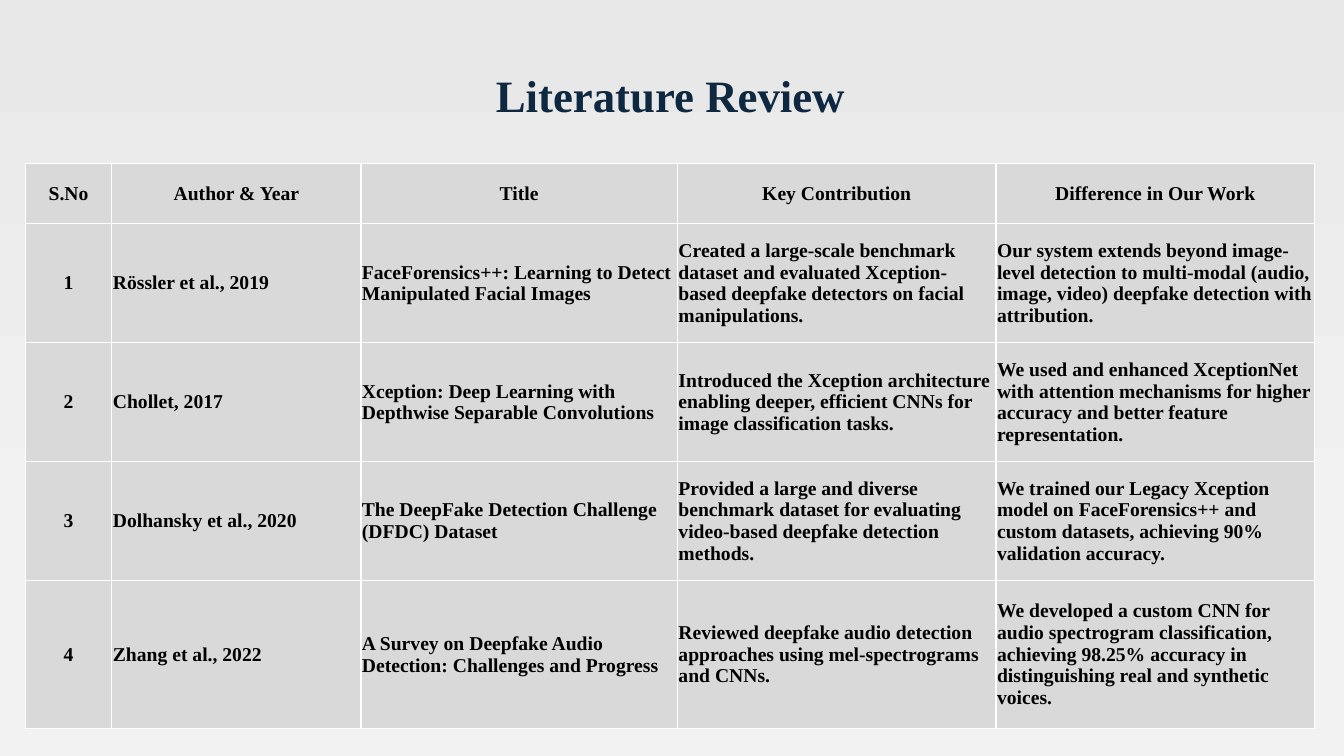
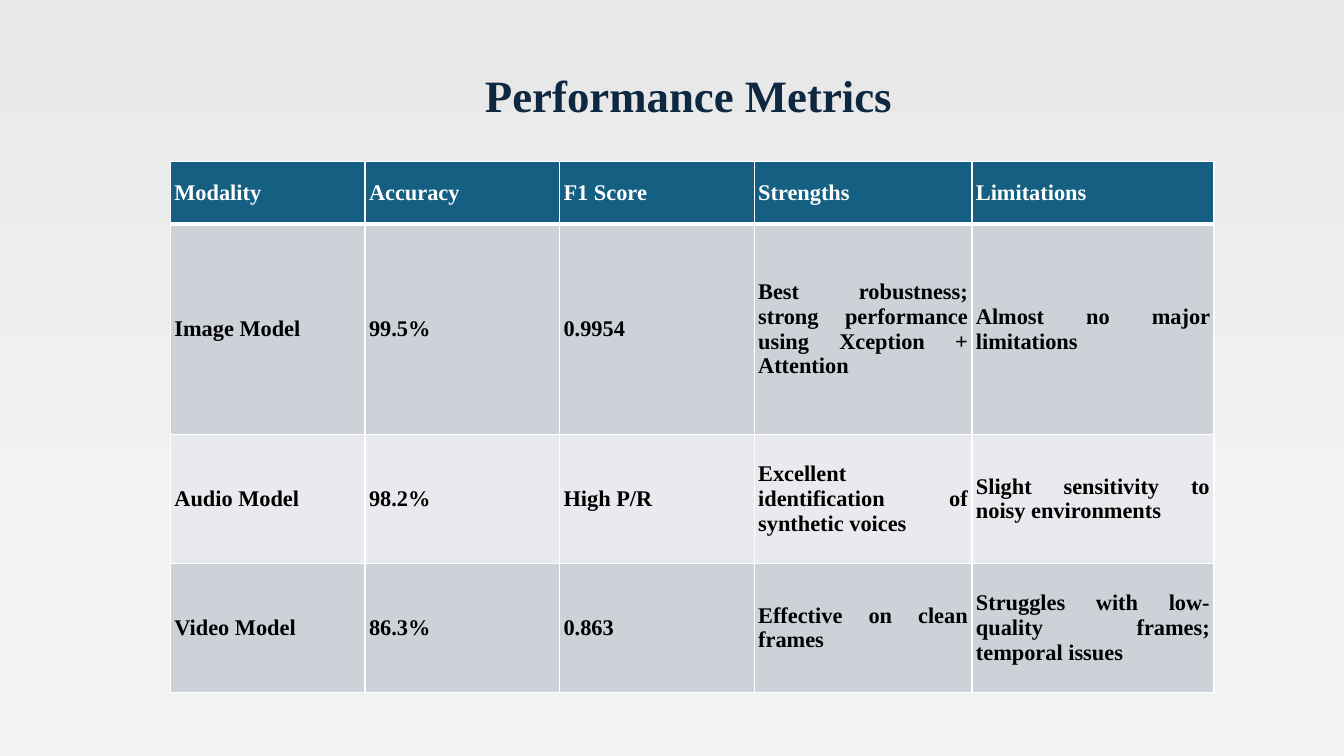
"""Build two table slides: a literature review and performance metrics."""
from lxml import etree
from pptx import Presentation
from pptx.dml.color import RGBColor
from pptx.enum.text import MSO_ANCHOR, MSO_AUTO_SIZE, PP_ALIGN
from pptx.oxml import parse_xml
from pptx.oxml.ns import nsdecls, qn
from pptx.util import Inches, Pt

CENTER, LEFT, JUSTIFY = PP_ALIGN.CENTER, PP_ALIGN.LEFT, PP_ALIGN.JUSTIFY
MIDDLE, NO_FIT = MSO_ANCHOR.MIDDLE, MSO_AUTO_SIZE.NONE
FONT = "Times New Roman"
TITLE_ONLY = 5
COLORS = {
    "page_top": "E8E8E8", "page_bottom": "F2F2F2", "title": "0E2841",
    "text": "000000", "white": "FFFFFF", "gray": "D9D9D9",
    "header": "156082", "band_dark": "CCD2D8", "band_light": "E8EAED",
}

SLIDES = [
    {
        "title": "Literature Review", "title_left": 0.57,
        "left": 0.25, "top": 1.62,
        "widths": [0.86, 2.47, 3.14, 3.16, 3.16],
        "heights": [0.6, 1.18, 1.18, 1.18, 1.47],
        "margins": (0.01, 0.01), "size": 14,
        "header_fill": "gray", "header_text": "text", "bands": ["gray"],
        "header_align": CENTER, "aligns": [CENTER] + [LEFT] * 4, "header_rule": 1,
        "rows": [
            ["S.No", "Author & Year", "Title", "Key Contribution", "Difference in Our Work"],
            ["1", "Rössler et al., 2019",
             "FaceForensics++: Learning to Detect Manipulated Facial Images",
             "Created a large-scale benchmark dataset and evaluated Xception-based "
             "deepfake detectors on facial manipulations.",
             "Our system extends beyond image-level detection to multi-modal "
             "(audio, image, video) deepfake detection with attribution."],
            ["2", "Chollet, 2017",
             "Xception: Deep Learning with Depthwise Separable Convolutions",
             "Introduced the Xception architecture enabling deeper, efficient CNNs "
             "for image classification tasks.",
             "We used and enhanced XceptionNet with attention mechanisms for higher "
             "accuracy and better feature representation."],
            ["3", "Dolhansky et al., 2020",
             "The DeepFake Detection Challenge (DFDC) Dataset",
             "Provided a large and diverse benchmark dataset for evaluating "
             "video-based deepfake detection methods.",
             "We trained our Legacy Xception model on FaceForensics++ and custom "
             "datasets, achieving 90% validation accuracy."],
            ["4", "Zhang et al., 2022",
             "A Survey on Deepfake Audio Detection: Challenges and Progress",
             "Reviewed deepfake audio detection approaches using mel-spectrograms and CNNs.",
             "We developed a custom CNN for audio spectrogram classification, achieving "
             "98.25% accuracy in distinguishing real and synthetic voices."],
        ],
    },
    {
        "title": "Performance Metrics", "title_left": 0.75,
        "left": 1.69, "top": 1.6,
        "widths": [1.93, 1.93, 1.93, 2.16, 2.4],
        "heights": [0.62, 2.09, 1.28, 1.28],
        "margins": (0.04, 0.02), "size": 16,
        "header_fill": "header", "header_text": "white",
        "bands": ["band_dark", "band_light"],
        "header_align": JUSTIFY, "aligns": [JUSTIFY] * 5, "header_rule": 3,
        "rows": [
            ["Modality", "Accuracy", "F1 Score", "Strengths", "Limitations"],
            ["Image Model", "99.5%", "0.9954",
             "Best robustness; strong performance using Xception + Attention",
             "Almost no major limitations"],
            ["Audio Model", "98.2%", "High P/R",
             "Excellent identification of synthetic voices",
             "Slight sensitivity to noisy environments"],
            ["Video Model", "86.3%", "0.863", "Effective on clean frames",
             "Struggles with low-quality frames; temporal issues"],
        ],
    },
]


def write(frame, text, size, color, align, spacing=None):
    para = frame.paragraphs[0]
    para.alignment = align
    para.line_spacing = spacing
    span = para.add_run()
    span.text = text
    span.font.name = FONT
    span.font.size = Pt(size)
    span.font.bold = True
    span.font.color.rgb = RGBColor.from_string(COLORS[color])
    return span


def add_border(cell, side, points):
    properties = cell._tc.get_or_add_tcPr()
    line = etree.SubElement(properties, qn(f"a:ln{side}"), w=str(Pt(points)))
    fill = etree.SubElement(line, qn("a:solidFill"))
    etree.SubElement(fill, qn("a:srgbClr"), val=COLORS["white"])


deck = Presentation()
deck.slide_width, deck.slide_height = Inches(13.33), Inches(7.5)

backdrop = deck.slide_master.background.fill
backdrop.gradient()
backdrop.gradient_angle = 270
for stop, position, color in zip(backdrop.gradient_stops, (0, 0.74), ("page_top", "page_bottom")):
    stop.position = position
    stop.color.rgb = RGBColor.from_string(COLORS[color])

for content in SLIDES:
    page = deck.slides.add_slide(deck.slide_layouts[TITLE_ONLY])
    title = page.shapes.title
    title.left, title.top = Inches(content["title_left"]), Inches(0.62)
    title.width, title.height = Inches(12.16), Inches(0.7)
    title.text_frame.auto_size = NO_FIT
    title.text_frame.vertical_anchor = MIDDLE
    span = write(title.text_frame, content["title"], 32, "title", CENTER, 0.9)
    shadow = parse_xml(
        f'<a:effectLst {nsdecls("a")}><a:outerShdw blurRad="38100" dist="38100" dir="2700000">'
        f'<a:srgbClr val="{COLORS["white"]}"/></a:outerShdw></a:effectLst>')
    span._r.get_or_add_rPr().find(qn("a:solidFill")).addnext(shadow)

    rows, widths, heights = content["rows"], content["widths"], content["heights"]
    table = page.shapes.add_table(
        len(rows), len(widths), Inches(content["left"]), Inches(content["top"]),
        Inches(sum(widths)), Inches(sum(heights))).table
    for column, width in zip(table.columns, widths):
        column.width = Inches(width)
    for row, height in zip(table.rows, heights):
        row.height = Inches(height)

    side_margin, end_margin = (Inches(margin) for margin in content["margins"])
    for row_index, texts in enumerate(rows):
        is_header = row_index == 0
        bands = content["bands"]
        fill = content["header_fill"] if is_header else bands[(row_index - 1) % len(bands)]
        color = content["header_text"] if is_header else "text"
        top_rule = content["header_rule"] if row_index == 1 else 1
        bottom_rule = content["header_rule"] if is_header else 1
        for column_index, text in enumerate(texts):
            cell = table.cell(row_index, column_index)
            cell.margin_left = cell.margin_right = side_margin
            cell.margin_top = cell.margin_bottom = end_margin
            cell.vertical_anchor = MIDDLE
            for side, points in zip("LRTB", (1, 1, top_rule, bottom_rule)):
                add_border(cell, side, points)
            cell.fill.solid()
            cell.fill.fore_color.rgb = RGBColor.from_string(COLORS[fill])
            align = content["header_align"] if is_header else content["aligns"][column_index]
            write(cell.text_frame, text, content["size"], color, align)

deck.save("out.pptx")
